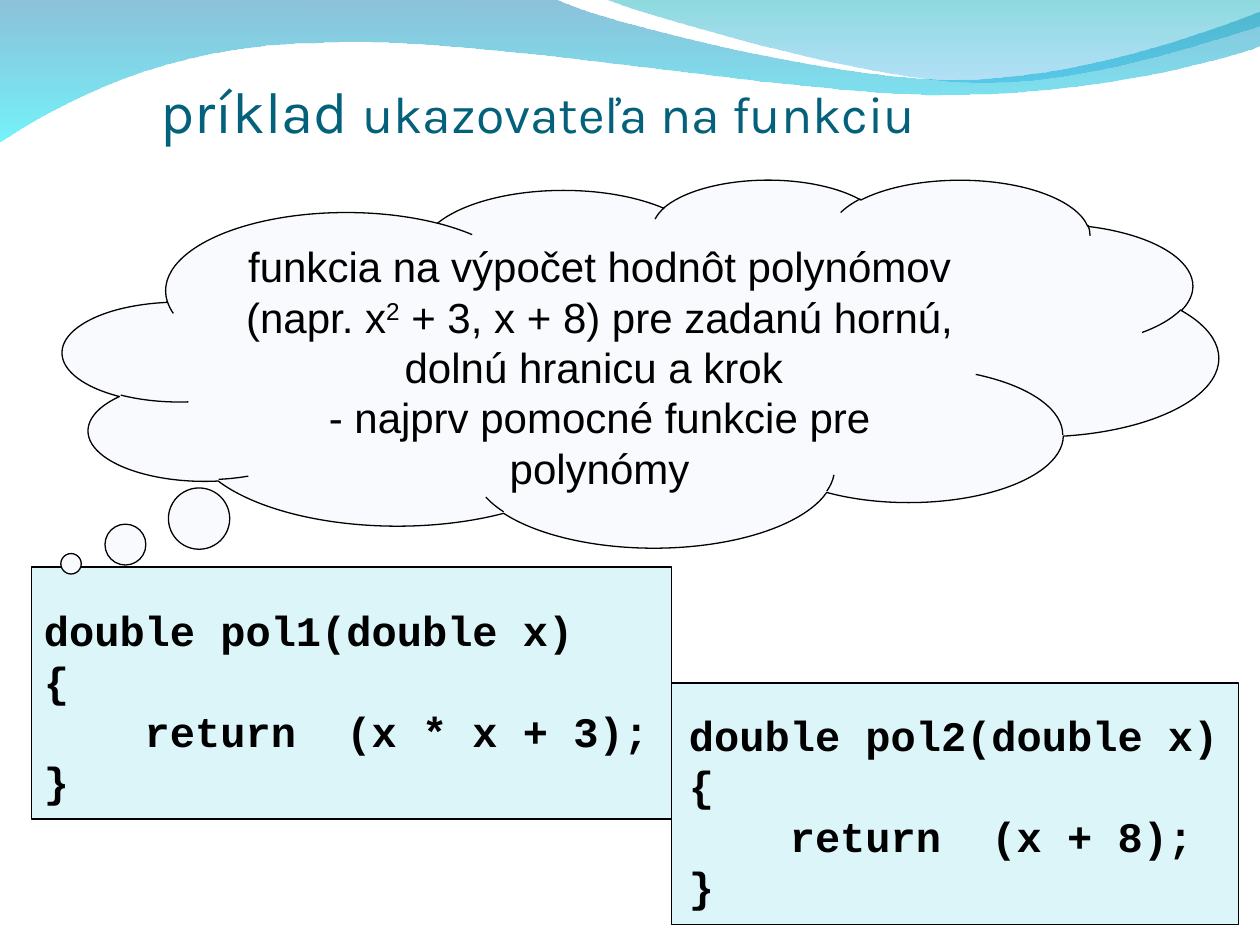
import pptx
import pptx.util
import pptx.dml.color
import pptx.enum.shapes
import pptx.enum.text
import pptx.oxml.ns
import lxml.etree

Inches = pptx.util.Inches
qn = pptx.oxml.ns.qn
Align = pptx.enum.text.PP_ALIGN
Anchor = pptx.enum.text.MSO_ANCHOR
AutoSize = pptx.enum.text.MSO_AUTO_SIZE
Shape = pptx.enum.shapes.MSO_SHAPE

COLORS = {
    "title": "04617B",
    "text": "000000",
    "outline": "000000",
    "code_panel": "DBF5F9",
    "cloud": "F9FAFD",
    "wave_top": "0079AF",
    "wave_bottom": "00EBF8",
    "crest_top": "00ADB6",
    "crest_bottom": "009BE5",
}


def rgb(name):
    return pptx.dml.color.RGBColor.from_string(COLORS[name])


def add_run(p, text, *, size=24, font="Arial", color="text", bold=False, raised=0):
    """Append a run; raised is the superscript offset in percent."""
    r = p.add_run()
    r.text = text
    r.font.size = pptx.util.Pt(size)
    r.font.name = font
    r.font.bold = bold
    r.font.color.rgb = rgb(color)
    if raised:
        r.font._element.set("baseline", str(raised * 1000))


def pairs(segment):
    """Split a flat run of inch coordinates into points."""
    return [(Inches(x), Inches(y)) for x, y in zip(segment[::2], segment[1::2])]


def bend_segments(sp, segments):
    """Join each three line steps of a cubic segment into one Bézier curve."""
    steps = iter(list(sp._element.iter(qn("a:lnTo"))))
    for segment in segments:
        group = [next(steps) for _ in pairs(segment)]
        if len(group) == 3:
            curve = lxml.etree.Element(qn("a:cubicBezTo"))
            group[0].addprevious(curve)
            for step in group:
                curve.append(step[0])
                step.getparent().remove(step)


class SlideBuilder:
    def __init__(self, prs):
        self.slide = prs.slides.add_slide(prs.slide_layouts[5])
        self.shapes = self.slide.shapes

    def title(self, box, runs):
        sp = self.shapes.title
        self.shapes._spTree.append(sp._element)  # bring to front
        sp.left, sp.top, sp.width, sp.height = map(Inches, box)
        tf = sp.text_frame
        tf.auto_size = AutoSize.NONE
        tf.vertical_anchor = Anchor.MIDDLE
        p = tf.paragraphs[0]
        p.alignment = Align.LEFT
        p.line_spacing = 0.9
        for text, size in runs:
            add_run(p, text, size=size, font="Karla", color="title")

    def wave(self, start, segments, stops):
        """Draw a curved band; stops are (colour, opacity percent) from the top."""
        builder = self.shapes.build_freeform(*map(Inches, start), scale=1.0)
        builder.add_line_segments(
            [point for segment in segments for point in pairs(segment)], close=True)
        sp = builder.convert_to_shape()
        bend_segments(sp, segments)
        sp.shadow.inherit = False
        sp.line.fill.background()
        sp.fill.gradient()
        sp.fill.gradient_angle = 270
        for stop, (color, opacity) in zip(sp.fill.gradient_stops, stops):
            stop.color.rgb = rgb(color)
            clr = stop._gs.find(qn("a:srgbClr"))
            alpha = lxml.etree.SubElement(clr, qn("a:alpha"))
            alpha.set("val", str(opacity * 1000))

    def panel(self, box, fill, kind=Shape.RECTANGLE):
        sp = self.shapes.add_shape(kind, *map(Inches, box))
        sp.shadow.inherit = False
        sp.fill.solid()
        sp.fill.fore_color.rgb = rgb(fill)
        sp.line.color.rgb = rgb("outline")
        sp.line.width = pptx.util.Pt(0.75)
        return sp

    def code(self, box, lines):
        tf = self.shapes.add_textbox(*map(Inches, box)).text_frame
        tf.word_wrap = True
        tf.auto_size = AutoSize.SHAPE_TO_FIT_TEXT
        for i, line in enumerate(lines):
            p = tf.add_paragraph() if i else tf.paragraphs[0]
            add_run(p, line, font="Courier New", bold=True)

    def cloud(self, box, tail, paragraphs):
        sp = self.panel(box, "cloud", Shape.CLOUD_CALLOUT)
        sp.adjustments[0], sp.adjustments[1] = tail
        tf = sp.text_frame
        tf.word_wrap = True
        tf.vertical_anchor = Anchor.TOP
        for i, runs in enumerate(paragraphs):
            p = tf.add_paragraph() if i else tf.paragraphs[0]
            p.alignment = Align.CENTER
            for text, raised in runs:
                add_run(p, text, raised=raised)


def polynomial(name, expression):
    return [f"double {name}(double x)", "{", f"    return  ({expression});", "}"]


def main():
    prs = pptx.Presentation()
    prs.slide_width, prs.slide_height = Inches(10), Inches(7.5)
    s = SlideBuilder(prs)

    s.wave((0, -0.01), [
        (4.4, -0.01),
        (4.76, 0.17, 6.64, 0.63, 7.58, 0.63),
        (8.53, 0.63, 9.58, 0.26, 10, 0.09),
        (10.01, 0.36),
        (9.83, 0.44, 8.7, 0.76, 7.46, 0.75),
        (6.22, 0.75, 3.82, 0.28, 2.57, 0.34),
        (1.29, 0.35, 0.46, 0.83, -0.01, 1.13),
    ], [("wave_top", 45), ("wave_bottom", 55)])
    s.wave((4.79, -0.01), [
        (5.09, 0.11, 6.82, 0.62, 7.69, 0.65),
        (8.56, 0.69, 9.61, 0.32, 10, 0.21),
        (10, 0),
    ], [("crest_top", 45), ("crest_bottom", 30)])

    for box in ((0.25, 4.5, 5.08, 2), (5.33, 5.42, 4.5, 1.92)):
        s.panel(box, "code_panel")
    s.code((0.25, 4.75, 5.25, 1.7), polynomial("pol1", "x * x + 3"))
    s.title((1.17, 0.58, 7.75, 0.66),
            [("príklad ", 33.3), ("ukazovateľa na funkciu", 29.6)])
    s.code((5.37, 5.58, 4.63, 1.7), polynomial("pol2", "x + 8"))

    s.cloud((0.5, 1.42, 9.17, 2.92), (-0.493, 0.546), [
        [("funkcia na výpočet hodnôt polynómov (napr. x", 0),
         ("2", 30),
         (" + 3, x + 8) pre zadanú hornú, dolnú hranicu a krok ", 0)],
        [("- najprv pomocné funkcie pre polynómy", 0)],
    ])
    prs.save("out.pptx")


if __name__ == "__main__":
    main()
